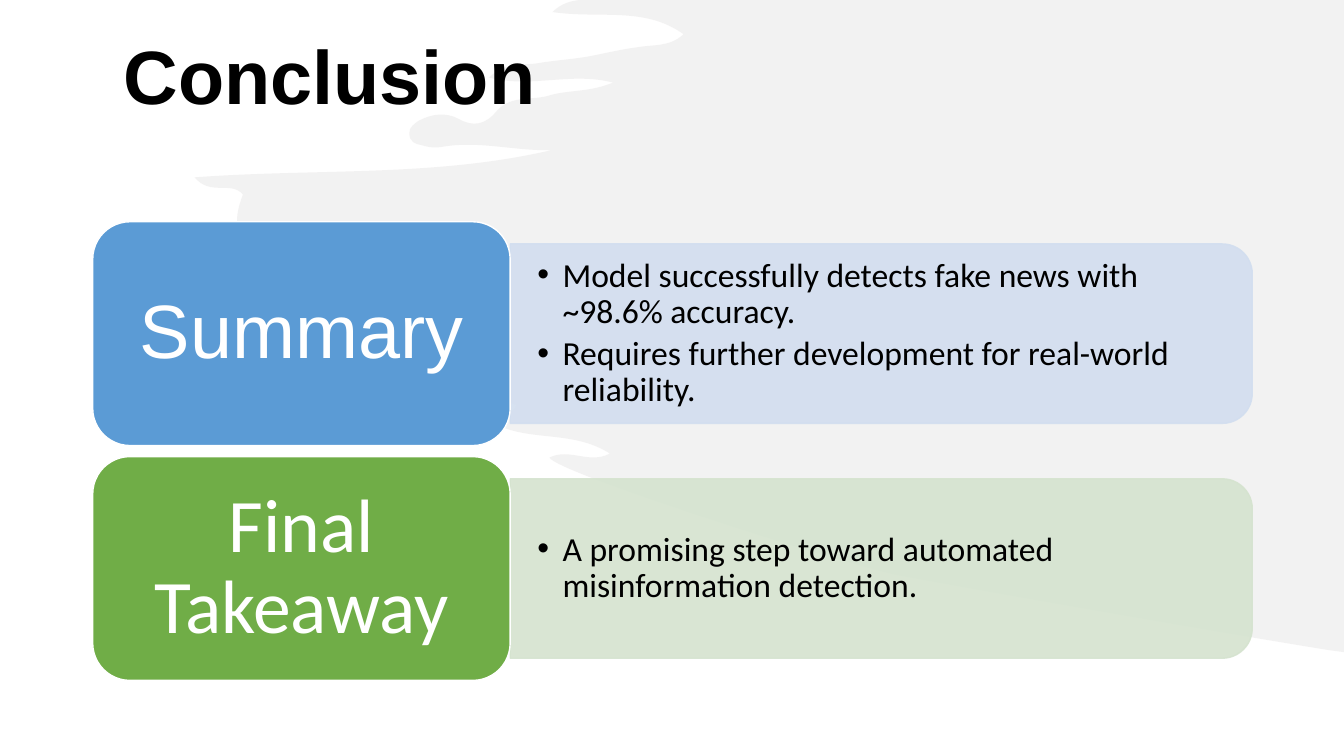
from lxml.etree import SubElement
from pptx import Presentation
from pptx.dml.color import RGBColor
from pptx.enum.shapes import MSO_SHAPE as Preset
from pptx.enum.text import MSO_ANCHOR as Anchor, PP_ALIGN as Align
from pptx.oxml.ns import qn
from pptx.util import Emu, Pt

EMU_PER_PX = 9144
BLACK = RGBColor(0x00, 0x00, 0x00)
WHITE = RGBColor(0xFF, 0xFF, 0xFF)
BRUSH_GRAY = RGBColor(0xE7, 0xE6, 0xE6)
BLUE = RGBColor(0x5B, 0x9B, 0xD5)
PALE_BLUE = RGBColor(0xD2, 0xDE, 0xEF)
GREEN = RGBColor(0x70, 0xAD, 0x47)
PALE_GREEN = RGBColor(0xD5, 0xE3, 0xCF)

BRUSH_START = (1333, 0)
BRUSH_TOP = (575, 0)
BRUSH_CURVES = [
    (567, 1, 557, 3, 548, 12), (595, 19, 639, 6, 678, 34),
    (664, 47, 648, 44, 632, 47), (616, 49, 600, 53, 584, 56),
    (567, 59, 549, 60, 532, 63), (518, 65, 502, 61, 485, 77),
    (527, 88, 566, 71, 608, 82), (584, 92, 563, 89, 544, 95),
    (527, 100, 506, 94, 492, 111), (481, 124, 469, 126, 455, 118),
    (442, 111, 428, 113, 415, 120), (411, 123, 406, 126, 406, 132),
    (406, 141, 412, 143, 418, 144), (424, 146, 431, 147, 437, 146),
    (474, 139, 510, 150, 547, 149), (431, 176, 314, 167, 193, 176),
    (209, 195, 229, 179, 241, 193), (230, 222, 234, 237, 258, 239),
    (280, 241, 304, 231, 316, 265), (320, 276, 341, 273, 355, 275),
    (384, 279, 414, 275, 442, 288), (453, 293, 460, 297, 455, 311),
    (449, 325, 456, 330, 466, 336), (473, 340, 483, 339, 489, 352),
    (428, 350, 369, 340, 309, 350), (375, 374, 447, 373, 512, 402),
    (510, 412, 495, 407, 494, 422), (528, 438, 569, 427, 605, 450),
    (584, 461, 565, 444, 545, 454), (552, 469, 840, 561, 892, 571),
    (978, 587, 1195, 625, 1318, 645),
]
BRUSH_END = (1333, 647)

ROWS = [
    ("Summary", "Arial", BLUE, PALE_BLUE,
     ["Model successfully detects fake news with ~98.6% accuracy.",
      "Requires further development for real-world reliability."]),
    ("Final Takeaway", "Calibri", GREEN, PALE_GREEN,
     ["A promising step toward automated misinformation detection."]),
]
ROW_TOP, ROW_PITCH = 220, 233
LABEL_LEFT, LABEL_WIDTH, LABEL_HEIGHT = 92, 414, 222
PANEL_WIDTH, PANEL_HEIGHT = 736, 178
BULLET_WIDTH, BULLET_HEIGHT = 727, 160
BULLET_INDENT = 25


def px(value):
    return Emu(round(value * EMU_PER_PX))


def apply_format(target, values):
    for name, value in values.items():
        setattr(target, name, value)


def paint(shape, color, opacity=100, line_color=None):
    shape.shadow.inherit = False
    fills = [shape.fill]
    if line_color is None:
        shape.line.fill.background()
    else:
        shape.line.width = Pt(1)
        fills.append(shape.line.fill)
    for fill, fill_color in zip(fills, (color, line_color)):
        fill.solid()
        fill.fore_color.rgb = fill_color
    if opacity < 100:
        for color_element in shape._element.spPr.iter(qn("a:srgbClr")):
            SubElement(color_element, qn("a:alpha"), val=str(opacity * 1000))


def set_frame(shape, anchor, insets):
    frame = shape.text_frame
    sides = ("margin_left", "margin_top", "margin_right", "margin_bottom")
    apply_format(frame, {"word_wrap": True, "vertical_anchor": anchor})
    apply_format(frame, dict(zip(sides, map(px, insets))))
    return frame


def write_paragraph(paragraph, text, font, align=Align.LEFT, space_after=0):
    apply_format(paragraph, {"alignment": align, "line_spacing": 0.9,
                             "space_after": Pt(space_after)})
    run = paragraph.add_run()
    run.text = text
    font = dict(font)
    run.font.color.rgb = font.pop("color")
    apply_format(run.font, font)


def add_bullet(paragraph):
    paragraph.level = 1
    properties = paragraph._p.get_or_add_pPr()
    properties.set("marL", str(px(BULLET_INDENT)))
    properties.set("indent", str(-px(BULLET_INDENT)))
    SubElement(properties, qn("a:buFont"), typeface="Arial")
    SubElement(properties, qn("a:buChar"), char="•")


def bend_segments(shape, first, count):
    segments = list(shape._element.iter(qn("a:lnTo")))[first:first + 3 * count]
    for start in range(0, len(segments), 3):
        curve = segments[start].makeelement(qn("a:cubicBezTo"))
        segments[start].addprevious(curve)
        for segment in segments[start:start + 3]:
            curve.append(segment[0])
            segment.getparent().remove(segment)


def add_brush(slide):
    outline = [BRUSH_TOP]
    for curve in BRUSH_CURVES:
        outline.extend(zip(curve[::2], curve[1::2]))
    outline.append(BRUSH_END)
    builder = slide.shapes.build_freeform(*BRUSH_START, scale=EMU_PER_PX)
    builder.add_line_segments(outline, close=True)
    brush = builder.convert_to_shape()
    bend_segments(brush, 1, len(BRUSH_CURVES))
    paint(brush, BRUSH_GRAY, opacity=50)


def add_title(slide, text):
    box = slide.shapes.add_textbox(px(92), px(40), px(1150), px(145))
    frame = set_frame(box, Anchor.TOP, (31, -1, 10, 5))
    write_paragraph(frame.paragraphs[0], text,
                    {"name": "Arial", "size": Pt(54), "bold": True, "color": BLACK})


def add_panel(slide, center_y, color):
    center_x = LABEL_LEFT + LABEL_WIDTH + PANEL_WIDTH / 2
    panel = slide.shapes.add_shape(
        Preset.ROUND_2_SAME_RECTANGLE,
        px(center_x - PANEL_HEIGHT / 2), px(center_y - PANEL_WIDTH / 2),
        px(PANEL_HEIGHT), px(PANEL_WIDTH))
    panel.rotation = 90
    paint(panel, color, opacity=90, line_color=color)


def add_bullets(slide, center_y, texts):
    box = slide.shapes.add_textbox(
        px(LABEL_LEFT + LABEL_WIDTH), px(center_y - BULLET_HEIGHT / 2),
        px(BULLET_WIDTH), px(BULLET_HEIGHT))
    frame = set_frame(box, Anchor.MIDDLE, (27, 14, 27, 14))
    for index, text in enumerate(texts):
        paragraph = frame.add_paragraph() if index else frame.paragraphs[0]
        write_paragraph(paragraph, text,
                        {"name": "Calibri", "size": Pt(24), "color": BLACK},
                        space_after=4)
        add_bullet(paragraph)


def add_label(slide, top, text, font_name, color):
    label = slide.shapes.add_shape(Preset.ROUNDED_RECTANGLE, px(LABEL_LEFT), px(top),
                                   px(LABEL_WIDTH), px(LABEL_HEIGHT))
    paint(label, color, line_color=WHITE)
    frame = set_frame(label, Anchor.MIDDLE, (23, 11, 23, 11))
    write_paragraph(frame.paragraphs[0], text,
                    {"name": font_name, "size": Pt(54), "color": WHITE}, Align.CENTER)


def main():
    presentation = Presentation()
    apply_format(presentation, {"slide_width": px(1333), "slide_height": px(750)})
    slide = presentation.slides.add_slide(presentation.slide_layouts[6])
    add_brush(slide)
    add_title(slide, "Conclusion")
    for index, (label, font_name, color, pale_color, texts) in enumerate(ROWS):
        top = ROW_TOP + index * ROW_PITCH
        center_y = top + LABEL_HEIGHT / 2
        add_panel(slide, center_y, pale_color)
        add_bullets(slide, center_y, texts)
        add_label(slide, top, label, font_name, color)
    presentation.save("out.pptx")


if __name__ == "__main__":
    main()
